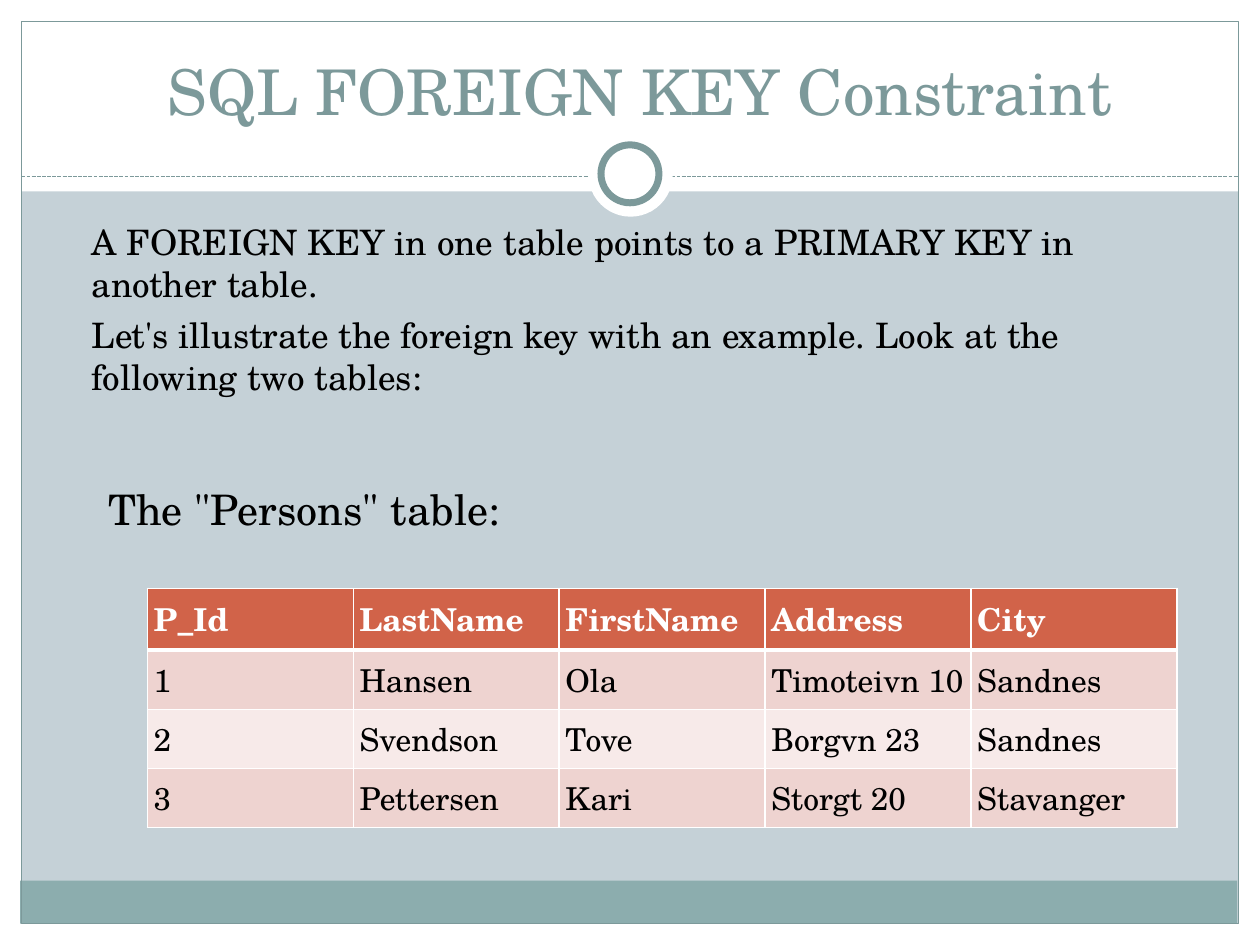
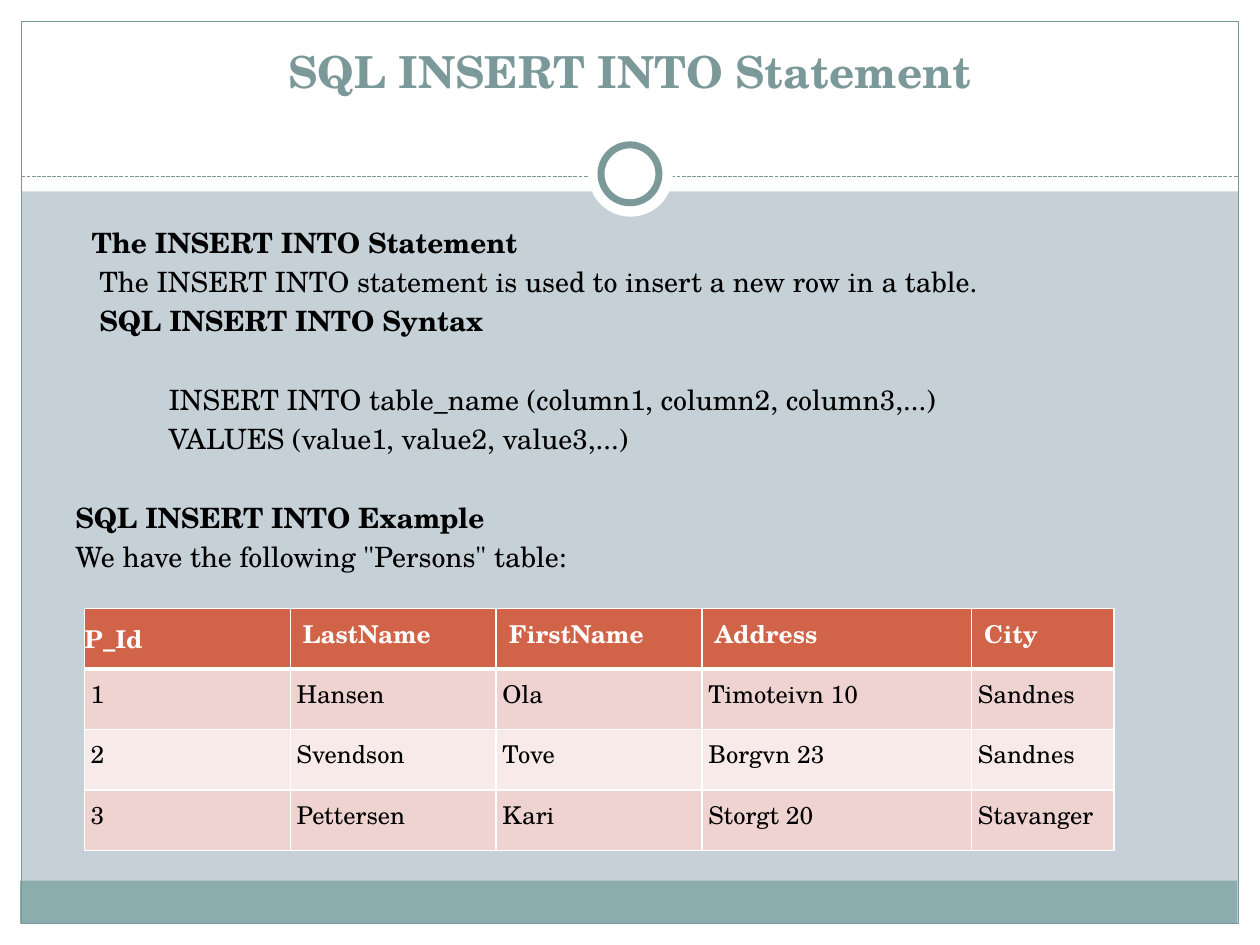
from lxml import etree
from pptx import Presentation
from pptx import util as u
from pptx.dml.color import RGBColor
from pptx.enum import dml, shapes, text
from pptx.oxml import ns

FONT = "TeX Gyre Schola"
BACKGROUND, WHITE, BLACK = "C5D1D7", "FFFFFF", "000000"
TEAL, FOOTER = "7C999A", "8CADAE"
HEADER, ROW_DARK, ROW_LIGHT = "D16349", "EED3D0", "F7EAE9"
TABLE_WIDTH = 8.17
PERSONS = [
    ["P_Id", "LastName", "FirstName", "Address", "City"],
    ["1", "Hansen", "Ola", "Timoteivn 10", "Sandnes"],
    ["2", "Svendson", "Tove", "Borgvn 23", "Sandnes"],
    ["3", "Pettersen", "Kari", "Storgt 20", "Stavanger"],
]
FOREIGN_KEY_TEXT = [
    ("A FOREIGN KEY in one table points to a PRIMARY KEY in another table.", 20, False, 0.3, 0),
    ("Let's illustrate the foreign key with an example. Look at the following two tables:",
     20, False, 0.3, 5),
    ('The "Persons" table:', 24, False, 0.43, 49.5),
]
INSERT_TEXT = [
    ("The INSERT INTO Statement", 16, True, 0.13, 0),
    ("The INSERT INTO statement is used to insert a new row in a table.", 16, False, 0.19, 3),
    ("SQL INSERT INTO Syntax", 16, True, 0.19, 3),
    ("INSERT INTO table_name (column1, column2, column3,...)", 16, False, 0.74, 26),
    ("VALUES (value1, value2, value3,...)", 16, False, 0.74, 3),
    ("SQL INSERT INTO Example", 16, True, 0, 26),
    ('We have the following "Persons" table:', 16, False, 0, 3),
]


def color(value):
    """Turn a hex string into a colour."""
    return RGBColor.from_string(value)


def inches(values):
    """Turn numbers into lengths."""
    return [u.Inches(value) for value in values]


def set_fill(target, value):
    """Fill a shape, cell or background with one colour."""
    target.fill.solid()
    target.fill.fore_color.rgb = color(value)


def set_line(line, value, width):
    """Set the colour and width of a line."""
    line.color.rgb = color(value)
    line.width = u.Pt(width)


def set_insets(target, left, top, right, bottom):
    """Set the inner margins of a text frame or cell."""
    (target.margin_left, target.margin_top,
     target.margin_right, target.margin_bottom) = inches((left, top, right, bottom))


def add_run(paragraph, words, size, value, bold=False):
    """Add one formatted run to a paragraph."""
    run = paragraph.add_run()
    run.text = words
    run.font.name = FONT
    run.font.size = u.Pt(size)
    run.font.bold = bold
    run.font.color.rgb = color(value)


def add_block(slide, kind, box, fill=None, line_width=None):
    """Add a plain shape with an optional fill and teal outline."""
    shape = slide.shapes.add_shape(kind, *inches(box))
    shape.shadow.inherit = False
    if fill:
        set_fill(shape, fill)
    else:
        shape.fill.background()
    if line_width:
        set_line(shape.line, TEAL, line_width)
    else:
        shape.line.fill.background()


def add_divider(slide):
    """Add the dashed line below the title."""
    divider = slide.shapes.add_connector(
        shapes.MSO_CONNECTOR.STRAIGHT, *inches((0.17, 1.4, 9.83, 1.4)))
    set_line(divider.line, TEAL, 0.75)
    divider.line.dash_style = dml.MSO_LINE.SQUARE_DOT
    etree.SubElement(divider._element.spPr, ns.qn("a:effectLst"))


def add_base_slide(presentation):
    """Add a slide with the shared frame, bands and ring."""
    slide = presentation.slides.add_slide(presentation.slide_layouts[6])
    set_fill(slide.background, BACKGROUND)
    rectangle, oval = shapes.MSO_SHAPE.RECTANGLE, shapes.MSO_SHAPE.OVAL
    for box in ((0, 7.33, 10, 0.17), (0, 0, 10, 1.52),
                (0, 0, 0.17, 7.5), (9.83, 0, 0.17, 7.5)):
        add_block(slide, rectangle, box, WHITE)
    add_block(slide, rectangle, (0.16, 6.99, 9.66, 0.34), FOOTER)
    add_block(slide, rectangle, (0.17, 0.17, 9.66, 7.16), line_width=0.75)
    add_divider(slide)
    add_block(slide, oval, (4.67, 1.05, 0.67, 0.67), WHITE)
    add_block(slide, oval, (4.77, 1.15, 0.46, 0.46), WHITE, 4)
    return slide


def add_text_frame(slide, box, insets):
    """Add a wrapping text box and return its frame."""
    frame = slide.shapes.add_textbox(*inches(box)).text_frame
    frame.word_wrap = True
    set_insets(frame, *insets)
    return frame


def add_title(slide, words, box, size, bold=False, left_inset=0.1):
    """Add the centred slide title."""
    frame = add_text_frame(slide, box, (left_inset, 0.05, 0.1, 0.06))
    frame.vertical_anchor = text.MSO_ANCHOR.BOTTOM
    paragraph = frame.paragraphs[0]
    paragraph.alignment = text.PP_ALIGN.CENTER
    add_run(paragraph, words, size, TEAL, bold)


def add_body(slide, box, top_inset, lines):
    """Add body paragraphs given as words, size, bold, indent and space before."""
    frame = add_text_frame(slide, box, (0.1, top_inset, 0.1, 0.05))
    for index, (words, size, bold, indent, space) in enumerate(lines):
        paragraph = frame.add_paragraph() if index else frame.paragraphs[0]
        paragraph.space_before = u.Pt(space)
        paragraph._p.get_or_add_pPr().set("marL", str(u.Inches(indent)))
        add_run(paragraph, words, size, BLACK, bold)


def set_borders(cell, widths):
    """Give a cell white borders, with widths in points by side."""
    properties = cell._tc.get_or_add_tcPr()
    for index, (side, width) in enumerate(widths.items()):
        border = etree.Element(ns.qn(f"a:ln{side}"), w=str(u.Pt(width)))
        fill = etree.SubElement(border, ns.qn("a:solidFill"))
        etree.SubElement(fill, ns.qn("a:srgbClr"), val=WHITE)
        properties.insert(index, border)


def add_persons_table(slide, left, top, widths, heights, size, header_inset):
    """Add the Persons table and return it."""
    box = (left, top, sum(widths), sum(heights))
    table = slide.shapes.add_table(len(PERSONS), len(widths), *inches(box)).table
    for column, width in zip(table.columns, widths):
        column.width = u.Inches(width)
    for row_index, (values, height) in enumerate(zip(PERSONS, heights)):
        is_header = row_index == 0
        table.rows[row_index].height = u.Inches(height)
        fill = HEADER if is_header else (ROW_LIGHT, ROW_DARK)[row_index % 2]
        side_inset = header_inset if is_header else 0.05
        borders = {"L": 1, "R": 1, "T": 3 if row_index == 1 else 1, "B": 3 if is_header else 1}
        for column_index, value in enumerate(values):
            cell = table.cell(row_index, column_index)
            set_insets(cell, side_inset, 0.05, side_inset, 0.05)
            set_fill(cell, fill)
            set_borders(cell, borders)
            add_run(cell.text_frame.paragraphs[0], value, size,
                    WHITE if is_header else BLACK, is_header)
    return table


def add_foreign_key_slide(presentation):
    """Build the slide on the foreign key constraint."""
    slide = add_base_slide(presentation)
    add_title(slide, "SQL FOREIGN KEY Constraint", (0.33, 0.25, 9.33, 0.83), 36, left_inset=0.26)
    add_body(slide, (0.33, 1.58, 9.3, 5.33), 0.17, FOREIGN_KEY_TEXT)
    add_persons_table(slide, 1.17, 4.67, [TABLE_WIDTH / 5] * 5, [0.49] + [0.47] * 3, 18, 0.05)


def add_insert_slide(presentation):
    """Build the slide on the insert statement."""
    slide = add_base_slide(presentation)
    add_title(slide, "SQL INSERT INTO Statement", (0.5, 0.3, 9, 0.53), 25.2, bold=True)
    add_body(slide, (0.5, 1.08, 9, 6.08), 0.71, INSERT_TEXT)
    widths = [TABLE_WIDTH / 5] * 3 + [2.14, 1.13]
    table = add_persons_table(slide, 0.67, 4.83, widths, [0.48] * 4, 14, 0.1)
    id_header = table.cell(0, 0)
    set_insets(id_header, 0, 0, 0, 0)
    id_header.vertical_anchor = text.MSO_ANCHOR.MIDDLE


def main():
    """Build and save the presentation."""
    presentation = Presentation()
    presentation.slide_width, presentation.slide_height = inches((10, 7.5))
    add_foreign_key_slide(presentation)
    add_insert_slide(presentation)
    presentation.save("out.pptx")


if __name__ == "__main__":
    main()
